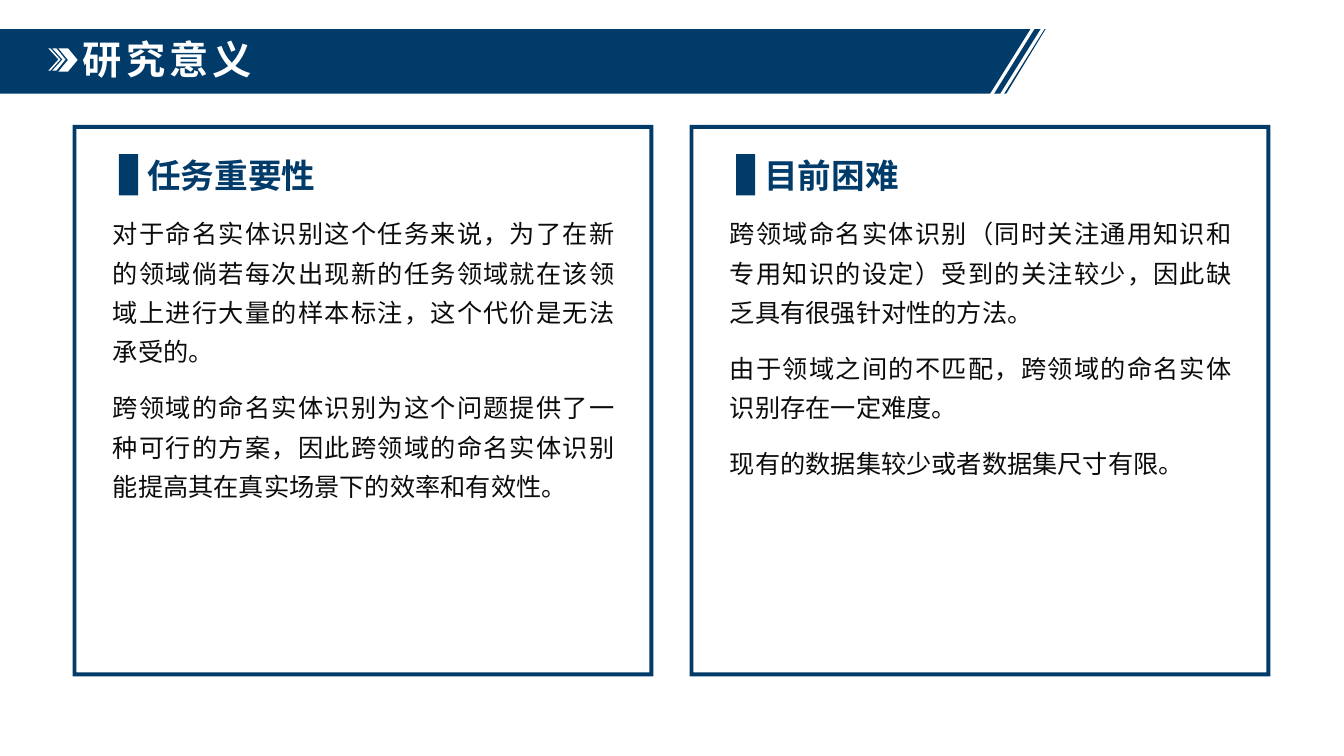
from dataclasses import dataclass

from lxml.etree import SubElement
from pptx import Presentation
from pptx.dml.color import RGBColor
from pptx.enum.shapes import MSO_SHAPE
from pptx.enum.text import MSO_ANCHOR, MSO_AUTO_SIZE, PP_ALIGN
from pptx.oxml.ns import qn
from pptx.util import Pt

PX = 9144
FONT = "Noto Sans CJK SC"
NAVY = RGBColor(0x00, 0x3B, 0x6A)
WHITE = RGBColor(0xFF, 0xFF, 0xFF)
INK = RGBColor(0x0C, 0x0C, 0x0C)


@dataclass(frozen=True)
class Panel:
    left: int
    heading_idx: int
    body_idx: int
    heading: str
    paragraphs: tuple[str, ...]


PANELS = (
    Panel(72, 1, 2, "任务重要性", (
        "对于命名实体识别这个任务来说，为了在新的领域倘若每次出现新的任务领域就在该领域上进行大量的样本标注，这个代价是无法承受的。",
        "跨领域的命名实体识别为这个问题提供了一种可行的方案，因此跨领域的命名实体识别能提高其在真实场景下的效率和有效性。",
    )),
    Panel(684, 3, 4, "目前困难", (
        "跨领域命名实体识别（同时关注通用知识和专用知识的设定）受到的关注较少，因此缺乏具有很强针对性的方法。",
        "由于领域之间的不匹配，跨领域的命名实体识别存在一定难度。",
        "现有的数据集较少或者数据集尺寸有限。",
    )),
)

BANNER = (
    ((0, 29), (1022, 29), (982, 93), (0, 93)),
    ((1026, 29), (1032, 29), (992, 93), (986, 93)),
    ((1036, 29), (1037, 29), (998, 93), (996, 93)),
)
ARROWS = (
    ((52, 48), (56, 48), (65, 59), (56, 70), (52, 70), (62, 59)),
    ((48, 48), (50, 48), (60, 59), (50, 70), (48, 70), (58, 59)),
)


def place(sp, left: int, top: int, width: int, height: int) -> None:
    sp.left, sp.top, sp.width, sp.height = (
        v * PX for v in (left, top, width, height))


def paint(sp, color: RGBColor) -> None:
    sp.shadow.inherit = False
    sp.fill.solid()
    sp.fill.fore_color.rgb = color
    sp.line.fill.background()


def add_preset(slide, kind: MSO_SHAPE, box: tuple[int, int, int, int],
               color: RGBColor, adj: float | None = None) -> None:
    sp = slide.shapes.add_shape(kind, *(v * PX for v in box))
    if adj is not None:
        sp.adjustments[0] = adj
    paint(sp, color)


def add_outline(slide, contours: tuple, color: RGBColor):
    builder = slide.shapes.build_freeform(*contours[0][0], scale=PX)
    for i, (start, *rest) in enumerate(contours):
        if i:
            builder.move_to(*start)
        builder.add_line_segments(rest, close=True)
    sp = builder.convert_to_shape()
    paint(sp, color)
    return sp


def write(sp, paragraphs: tuple[str, ...], *, size: int, color: RGBColor,
          bold: bool = False, align: PP_ALIGN = PP_ALIGN.LEFT,
          anchor: MSO_ANCHOR = MSO_ANCHOR.MIDDLE, line: float = 0.9,
          before: int = 0, tracking: int = 0) -> None:
    tf = sp.text_frame
    tf.word_wrap = True
    tf.auto_size = MSO_AUTO_SIZE.NONE
    tf.vertical_anchor = anchor
    for i, text in enumerate(paragraphs):
        p = tf.add_paragraph() if i else tf.paragraphs[0]
        pPr = p._p.get_or_add_pPr()
        pPr.set("marL", "0")
        pPr.set("indent", "0")
        SubElement(pPr, qn("a:buNone"))
        p.alignment = align
        p.line_spacing = line
        p.space_before = Pt(before if i else 0)
        r = p.add_run()
        r.text = text
        r.font.size = Pt(size)
        r.font.bold = bold
        r.font.color.rgb = color
        r.font.name = FONT
        rPr = r._r.get_or_add_rPr()
        SubElement(rPr, qn("a:ea")).set("typeface", FONT)
        if tracking:
            rPr.set("spc", str(tracking * 100))


def add_header(slide, title: str) -> None:
    banner = add_outline(slide, BANNER, NAVY)
    slide.shapes._spTree.insert(2, banner._element)
    add_preset(slide, MSO_SHAPE.CHEVRON, (58, 48, 19, 23), WHITE, 0.5)
    for arrow in ARROWS:
        add_outline(slide, (arrow,), WHITE)
    sp = slide.shapes.title
    place(sp, 72, 33, 831, 56)
    write(sp, (title,), size=28, color=WHITE, bold=True, tracking=3)


def add_panel(slide, panel: Panel) -> None:
    x = panel.left
    add_preset(slide, MSO_SHAPE.FRAME, (x, 124, 576, 547), NAVY, 0.007)
    add_preset(slide, MSO_SHAPE.RECTANGLE, (x + 46, 153, 19, 41), NAVY)
    holders = {s.placeholder_format.idx: s for s in slide.placeholders}
    heading, body = holders[panel.heading_idx], holders[panel.body_idx]
    place(heading, x + 64, 156, 453, 41)
    write(heading, (panel.heading,), size=24, color=NAVY, bold=True)
    place(body, x + 30, 203, 518, 421)
    write(body, panel.paragraphs, size=18, color=INK, align=PP_ALIGN.JUSTIFY,
          anchor=MSO_ANCHOR.TOP, line=1.3, before=12)


def main() -> None:
    prs = Presentation()
    prs.slide_width, prs.slide_height = 1333 * PX, 750 * PX
    slide = prs.slides.add_slide(prs.slide_layouts.get_by_name("Comparison"))
    add_header(slide, "研究意义")
    for panel in PANELS:
        add_panel(slide, panel)
    prs.save("out.pptx")


if __name__ == "__main__":
    main()
